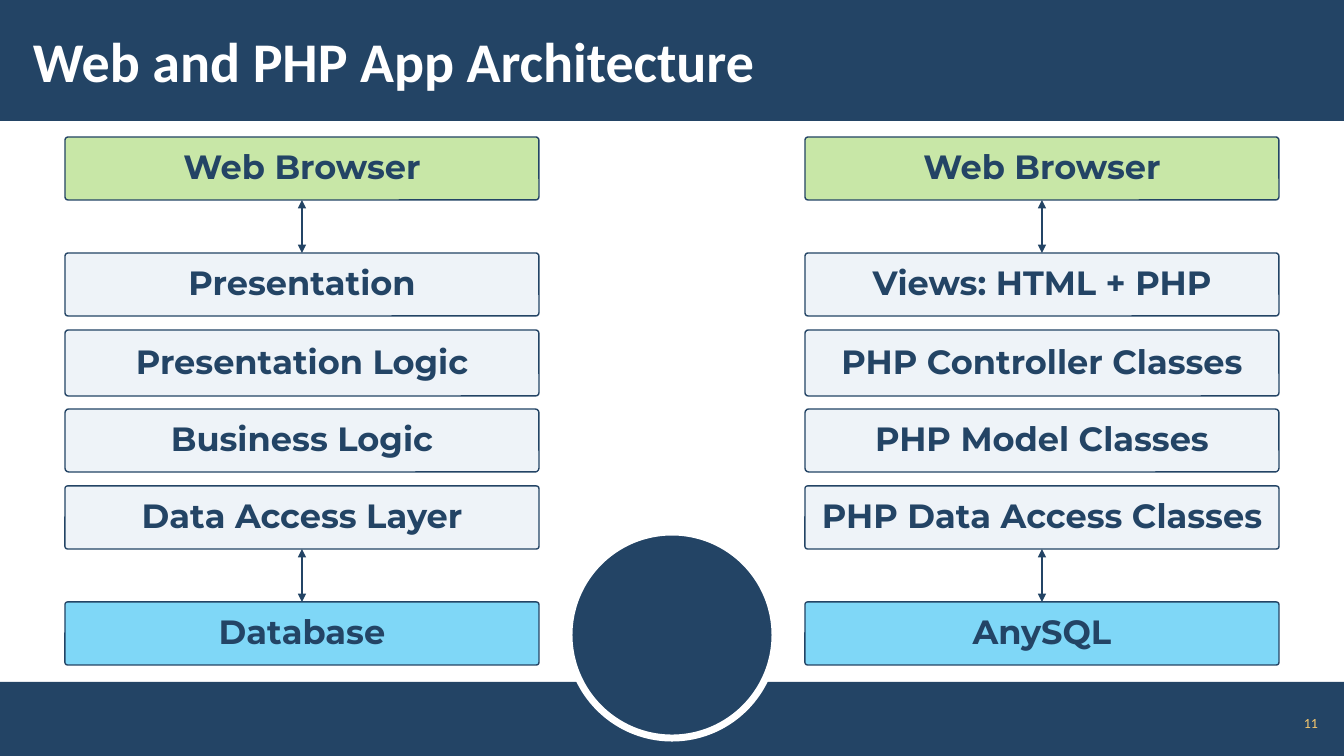
import pptx
import pptx.util
from pptx.dml.color import RGBColor
from pptx.enum.shapes import MSO_CONNECTOR, MSO_SHAPE
from pptx.enum.text import MSO_ANCHOR, PP_ALIGN
from pptx.oxml.xmlchemy import OxmlElement

TITLE = "Web and PHP App Architecture"
PAGE_NUMBER = "11"
COLUMNS = [
    ["Web Browser", "Presentation", "Presentation Logic", "Business Logic",
     "Data Access Layer", "Database"],
    ["Web Browser", "Views: HTML + PHP", "PHP Controller Classes", "PHP Model Classes",
     "PHP Data Access Classes", "AnySQL"],
]
# role, height in px, gap below in px, corner radius ratio
TIERS = [
    ("client", 63, 53, 0.05),
    ("layer", 63, 14, 0.05),
    ("layer", 66, 13, 0.05),
    ("layer", 63, 14, 0.06),
    ("layer", 63, 53, 0.04),
    ("storage", 63, 0, 0.04),
]
LINKED_TIERS = [(0, 1), (4, 5)]

THEME = {
    "navy": "234465", "white": "FFFFFF", "gold": "F7C86D",
    # colour, opacity in percent
    "client": ("92D050", 50), "layer": ("C7D8EB", 30), "storage": ("00B0F0", 50),
    "title": {"name": "Calibri", "size": pptx.util.Pt(40), "bold": True},
    "tier": {"name": "Montserrat", "size": pptx.util.Pt(24), "bold": True},
    "page": {"name": "Calibri", "size": pptx.util.Pt(10), "bold": False},
}

SLIDE_W, SLIDE_H = 1344, 756
FIRST_TOP, TIER_W = 137, 474
COLUMN_LEFTS = [65, SLIDE_W - 65 - TIER_W]
SCALE = 12192000 / SLIDE_W


def px(length):
    return pptx.util.Emu(round(length * SCALE))


def rgb(name):
    return RGBColor.from_string(THEME.get(name, name))


def write(shape, text, style, colour, align, margins):
    frame = shape.text_frame
    side, edge = margins
    layout = {"word_wrap": True, "vertical_anchor": MSO_ANCHOR.MIDDLE,
              "margin_left": px(side), "margin_right": px(side),
              "margin_top": px(edge), "margin_bottom": px(edge)}
    for key, value in layout.items():
        setattr(frame, key, value)
    frame.text = text
    paragraph = frame.paragraphs[0]
    paragraph.alignment = align
    font = paragraph.runs[0].font
    for key, value in THEME[style].items():
        setattr(font, key, value)
    font.color.rgb = rgb(colour)
    return paragraph


def add_block(slide, kind, box, colour, line=None, line_pt=1):
    block = slide.shapes.add_shape(kind, *map(px, box))
    block.shadow.inherit = False
    block.fill.solid()
    block.fill.fore_color.rgb = rgb(colour)
    if line:
        block.line.color.rgb = rgb(line)
        block.line.width = pptx.util.Pt(line_pt)
    else:
        block.line.fill.background()
    return block


def add_tier(slide, text, left, top, role, height, radius):
    colour, opacity = THEME[role]
    tier = add_block(slide, MSO_SHAPE.ROUNDED_RECTANGLE, (left, top, TIER_W, height),
                     colour, "navy")
    tier.adjustments[0] = radius
    alpha = OxmlElement("a:alpha")
    alpha.set("val", str(opacity * 1000))
    tier.element.spPr.find(".//" + pptx.oxml.ns.qn("a:srgbClr")).append(alpha)
    paragraph = write(tier, text, "tier", "navy", PP_ALIGN.CENTER, (10, 5))
    paragraph.line_spacing = 0.95
    return tier


def link(slide, upper, lower):
    """Join two tiers with a double-headed arrow."""
    arrow = slide.shapes.add_connector(MSO_CONNECTOR.STRAIGHT, 0, 0, 0, 0)
    arrow.begin_connect(upper, 2)
    arrow.end_connect(lower, 0)
    arrow.line.color.rgb = rgb("navy")
    arrow.line.width = pptx.util.Pt(2)
    for tag in ("a:headEnd", "a:tailEnd"):
        end = OxmlElement(tag)
        end.set("type", "triangle")
        arrow.line._get_or_add_ln().append(end)
    arrow.element.spPr.append(OxmlElement("a:effectLst"))


def add_frame(slide):
    """Draw the bands and the circle, then the title and page number over them."""
    add_block(slide, MSO_SHAPE.RECTANGLE, (0, 0, SLIDE_W, 121), "navy")
    add_block(slide, MSO_SHAPE.RECTANGLE, (0, 682, SLIDE_W, SLIDE_H - 682), "navy")
    add_block(slide, MSO_SHAPE.OVAL, (569, 532, 206, 206), "navy", "white", 5)

    title = slide.shapes.title
    title.left, title.top, title.width, title.height = map(px, (21, 11, 1047, 98))
    write(title, TITLE, "title", "white", PP_ALIGN.LEFT, (12, 4))
    slide.shapes.element.append(title.element)

    page = slide.shapes.add_textbox(*map(px, (1275, 706, 47, 34)))
    write(page, PAGE_NUMBER, "page", "gold", PP_ALIGN.RIGHT, (4, 4))


def main():
    deck = pptx.Presentation()
    deck.slide_width, deck.slide_height = px(SLIDE_W), px(SLIDE_H)
    slide = deck.slides.add_slide(deck.slide_layouts[5])
    add_frame(slide)
    for left, labels in zip(COLUMN_LEFTS, COLUMNS):
        top, tiers = FIRST_TOP, []
        for label, (role, height, gap, radius) in zip(labels, TIERS):
            tiers.append(add_tier(slide, label, left, top, role, height, radius))
            top += height + gap
        for upper, lower in LINKED_TIERS:
            link(slide, tiers[upper], tiers[lower])
    deck.save("out.pptx")


if __name__ == "__main__":
    main()
